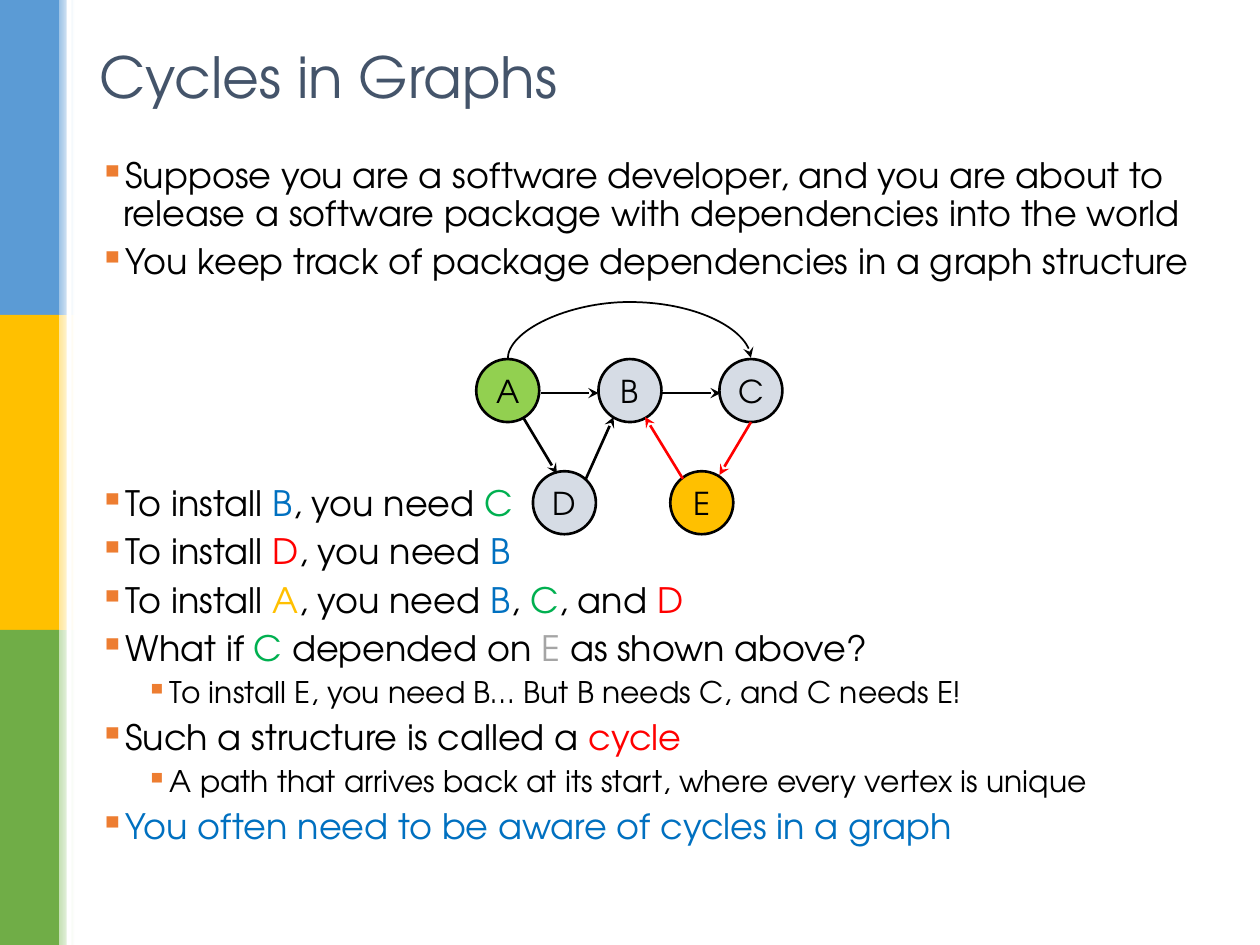
from lxml import etree
from pptx import Presentation
from pptx import util as u
from pptx.dml.color import RGBColor
from pptx.enum import shapes, text
from pptx.oxml import ns

BLACK, WHITE, RED, BLUE = "000000", "FFFFFF", "FF0000", "0070C0"
GREEN, GOLD, GREY = "00B050", "FFC000", "A5A5A5"
A, B, C, D, E = ("A", GOLD), ("B", BLUE), ("C", GREEN), ("D", RED), ("E", GREY)


def rgb(value):
    return RGBColor.from_string(value)


def add_xml(parent, tag, **attributes):
    return etree.SubElement(parent, ns.qn(tag), attributes)


def write(paragraph, content, size=20, color=BLACK, font="TeX Gyre Adventor"):
    run = paragraph.add_run()
    run.text = content
    run.font.size = u.Pt(size)
    run.font.name = font
    run.font.color.rgb = rgb(color)


class GraphSlide:
    bullet_color = "ED7D31"
    node_size = 0.5

    def __init__(self, slide):
        self.slide = slide

    def shape(self, kind, left, top, width, height, fill, line=None):
        item = self.slide.shapes.add_shape(
            kind, *map(u.Inches, (left, top, width, height)))
        item.shadow.inherit = False
        if isinstance(fill, tuple):
            item.fill.gradient()
            item.fill.gradient_angle = 0
            for stop, color in zip(item.fill.gradient_stops, fill):
                stop.color.rgb = rgb(color)
        else:
            item.fill.solid()
            item.fill.fore_color.rgb = rgb(fill)
        if line:
            item.line.color.rgb = rgb(line)
            item.line.width = u.Pt(1.5)
        else:
            item.line.fill.background()
        return item

    def bar(self, left, top, width, height, fill):
        self.shape(shapes.MSO_SHAPE.RECTANGLE, left, top, width, height, fill)

    def node(self, label, left, top, fill):
        vertex = self.shape(shapes.MSO_SHAPE.OVAL, left, top,
                            self.node_size, self.node_size, fill, BLACK)
        frame = vertex.text_frame
        frame.word_wrap = False
        frame.vertical_anchor = text.MSO_ANCHOR.MIDDLE
        frame.paragraphs[0].alignment = text.PP_ALIGN.CENTER
        write(frame.paragraphs[0], label, size=18)

    def edge(self, start, end, color=BLACK, width=1.5,
             kind=shapes.MSO_CONNECTOR.STRAIGHT):
        arrow = self.slide.shapes.add_connector(
            kind, *map(u.Inches, (*start, *end)))
        arrow.line.color.rgb = rgb(color)
        arrow.line.width = u.Pt(width)
        add_xml(arrow.line._get_or_add_ln(), "a:tailEnd", type="stealth")
        add_xml(arrow._element.spPr, "a:effectLst")
        return arrow

    def arc(self, start, end, bend):
        arrow = self.edge(start, end, width=1, kind=shapes.MSO_CONNECTOR.CURVE)
        properties = arrow._element.spPr
        properties.find(ns.qn("a:xfrm")).set("rot", "5400000")
        adjustments = properties.find(".//" + ns.qn("a:avLst"))
        add_xml(adjustments, "a:gd", name="adj1", fmla=f"val {bend * 100000}")

    def text_area(self, left, top, width, height, anchor):
        frame = self.slide.shapes.add_textbox(
            *map(u.Inches, (left, top, width, height))).text_frame
        frame.word_wrap = True
        frame.vertical_anchor = anchor
        return frame

    def title(self, content):
        frame = self.text_area(0.69, 0.26, 8.62, 0.68, text.MSO_ANCHOR.MIDDLE)
        write(frame.paragraphs[0], content, size=32.4, color="44546A")

    def bullets(self, items):
        frame = self.text_area(0.69, 1.21, 8.92, 6.17, text.MSO_ANCHOR.TOP)
        for index, (level, before, runs) in enumerate(items):
            paragraph = frame.add_paragraph() if index else frame.paragraphs[0]
            size = 17 if level else 20
            paragraph.level = level
            paragraph.line_spacing = 0.9
            paragraph.space_before = u.Pt(before)
            properties = paragraph._p.get_or_add_pPr()
            properties.set("marL", str(u.Inches(0.56 if level else 0.19)))
            properties.set("indent", str(u.Inches(-0.19)))
            add_xml(add_xml(properties, "a:buClr"), "a:srgbClr", val=self.bullet_color)
            add_xml(properties, "a:buChar", char="▪")
            for run in runs:
                content, color = run if isinstance(run, tuple) else (run, BLACK)
                write(paragraph, content, size=size, color=color)


def main():
    deck = Presentation()
    deck.slide_width, deck.slide_height = u.Inches(10), u.Inches(7.5)
    page = GraphSlide(deck.slides.add_slide(deck.slide_layouts[6]))

    bands = [("5B9BD5", "9DC3E6"), (GOLD, "FFE699"), ("70AD47", "C5E0B4")]
    for row, (strong, pale) in enumerate(bands):
        page.bar(0, row * 2.5, 0.47, 2.5, strong)
        page.bar(0.47, row * 2.5, 0.12, 2.5, (pale, WHITE))
    page.bar(0.53, 0, 0.04, 7.5, WHITE)

    page.title("Cycles in Graphs")
    graph_gap = 116.5
    page.bullets([
        (0, 6, ["Suppose you are a software developer, and you are about to "
                "release a software package with dependencies into the world"]),
        (0, 6, ["You keep track of package dependencies in a graph structure"]),
        (0, graph_gap, ["To install ", B, ", you need ", C]),
        (0, 6, ["To install ", D, ", you need ", B]),
        (0, 6, ["To install ", A, ", you need ", B, ", ", C, ", and ", D]),
        (0, 6, ["What if ", C, " depended on ", E, " as shown above?"]),
        (1, 5, ["To install E, you need B… But B needs C, and C needs E!"]),
        (0, 6, ["Such a structure is called a ", ("cycle", RED)]),
        (1, 5, ["A path that arrives back at its start, "
                "where every vertex is unique"]),
        (0, 6, [("You often need to be aware of cycles in a graph", BLUE)]),
    ])

    upper, lower, plain = 2.85, 3.74, "D6DCE5"
    for label, left, top, fill in [
        ("A", 3.78, upper, "92D050"), ("B", 4.75, upper, plain),
        ("C", 5.71, upper, plain), ("D", 4.23, lower, plain),
        ("E", 5.32, lower, GOLD),
    ]:
        page.node(label, left, top, fill)

    for start, end, color in [
        ((4.15, 3.31), (4.42, 3.76), BLACK),
        ((4.29, 3.12), (4.75, 3.12), BLACK),
        ((5.25, 3.12), (5.72, 3.12), BLACK),
        ((4.65, 3.8), (4.87, 3.31), BLACK),
        ((5.96, 3.35), (5.71, 3.77), RED),
        ((5.42, 3.8), (5.12, 3.31), RED),
    ]:
        page.edge(start, end, color)
    page.arc((5, 3.81), (4.99, 1.88), bend=46)

    deck.save("out.pptx")


if __name__ == "__main__":
    main()
